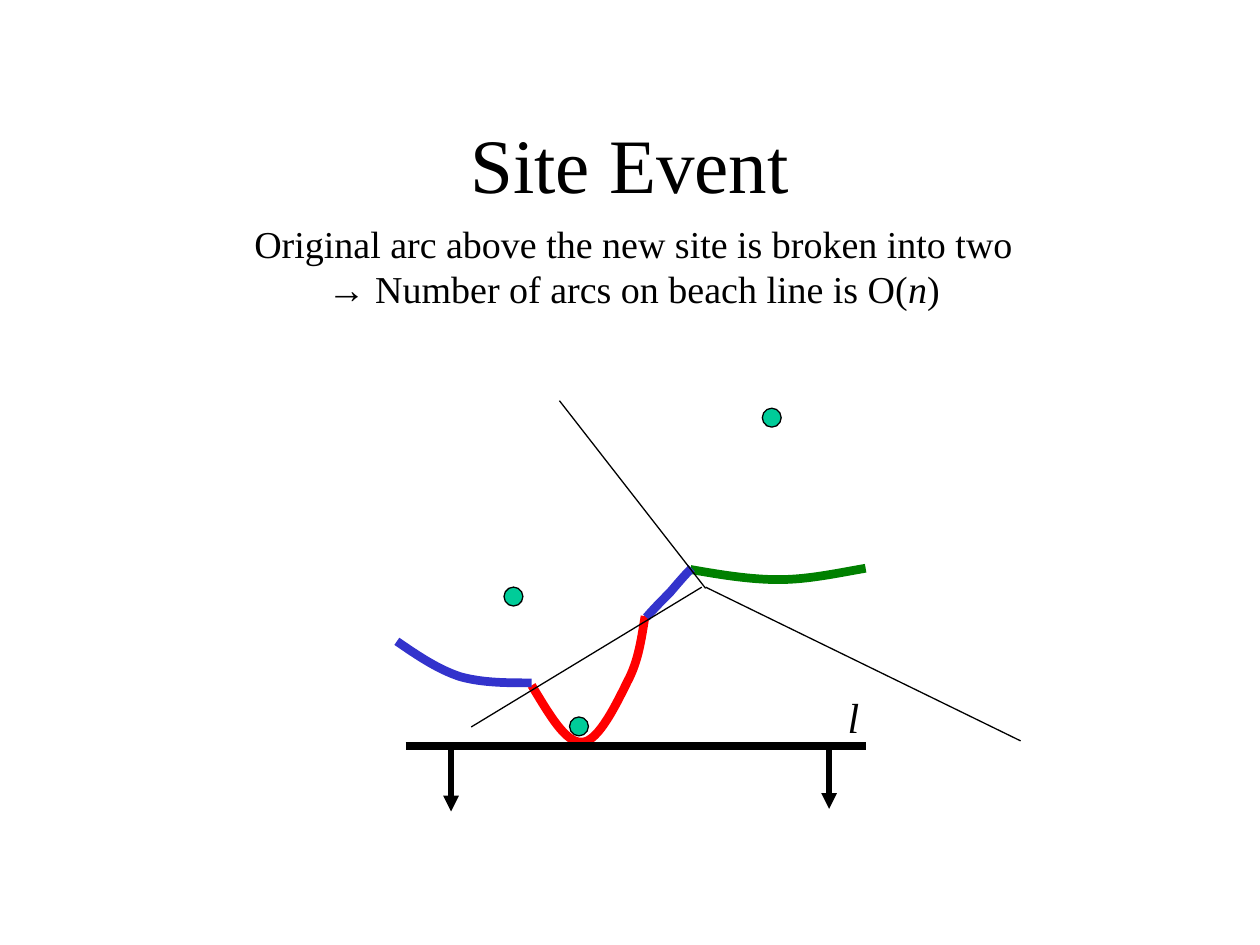
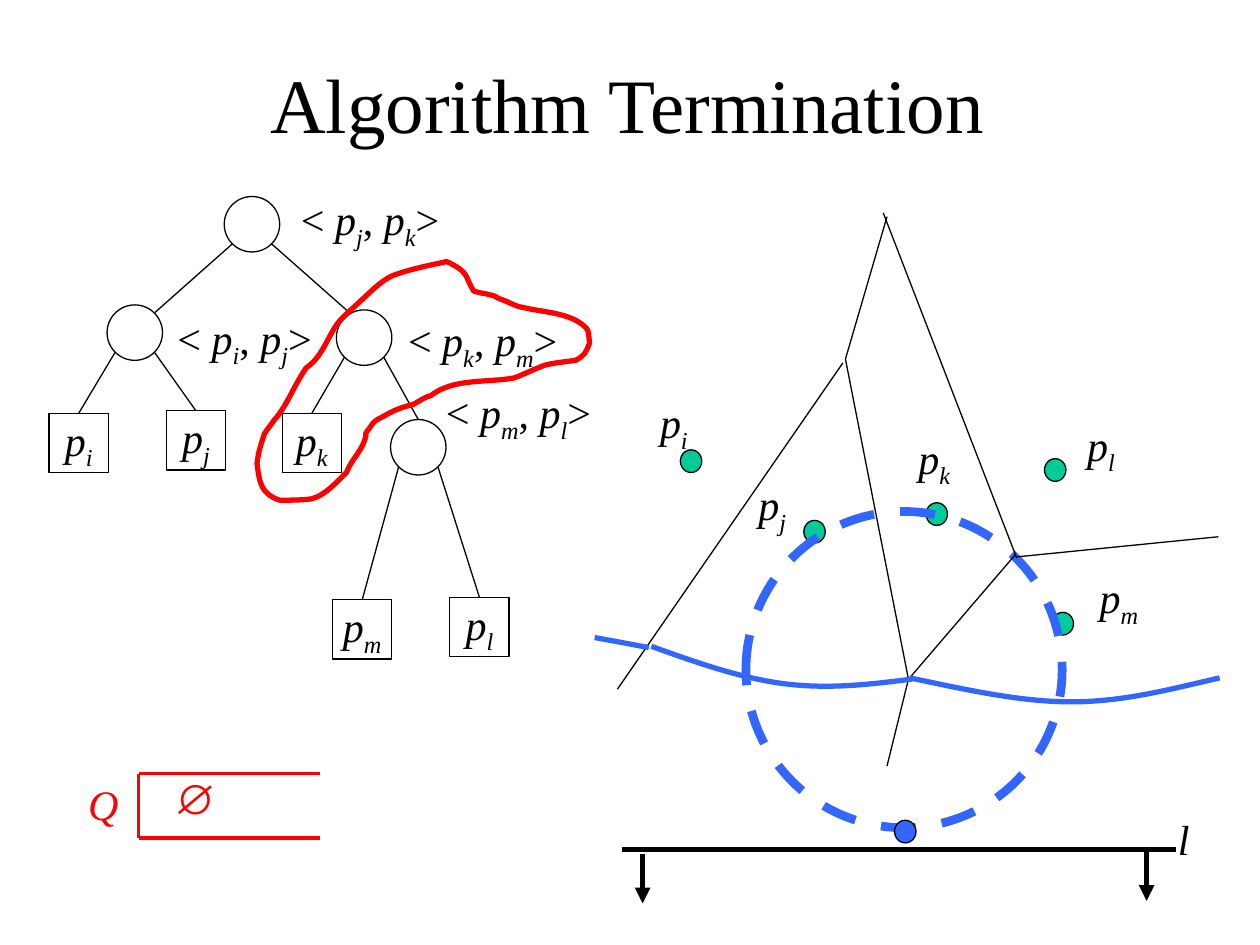
from lxml import etree
from pptx import Presentation
from pptx import util as u
from pptx.dml.color import RGBColor
from pptx.enum import dml, shapes, text
from pptx.oxml.ns import qn

HEX = {"ink": "000000", "site": "00CC99", "red": "FF0000", "green": "008000",
       "navy": "3333CC", "blue": "3366FF"}
FONT = "Times New Roman"
NODE = 0.44   # diameter of a tree node
LEAF = 0.47   # side of a leaf box
SLACK = 0.04  # spare width that keeps a label on one line


def rgb(name):
    return RGBColor.from_string(HEX[name])


def place(left, top, wide, high):
    return [u.Inches(v) for v in (left, top, wide, high)]


# ---- Text ----
def style(para, size=24, color="ink", font=FONT, italic=None):
    para.font.name, para.font.size = font, u.Pt(size)
    para.font.color.rgb = rgb(color)
    para.font.italic = italic


def add_runs(para, runs):
    """Each run is (words, marks): i is italic, s subscript, a Arial."""
    for words, marks in runs:
        run = para.add_run()
        run.text = words
        if "i" in marks:
            run.font.italic = True
        if "s" in marks:
            run._r.get_or_add_rPr().set("baseline", "-25000")
        if "a" in marks:
            run.font.name = "Arial"


def sub(index):
    return [("p", ""), (index, "s")]


def pair(left, right):
    return [("< ", ""), ("p", "i"), (left, "is"), (", ", ""),
            ("p", "i"), (right, "is"), (">", "")]


def add_title(slide, words, left, top):
    title = slide.shapes.title
    title.left, title.top, title.width, title.height = place(left, top, 8.5, 1.25)
    title.text_frame.text = words
    title.text_frame.vertical_anchor = text.MSO_ANCHOR.MIDDLE
    para = title.text_frame.paragraphs[0]
    para.alignment = text.PP_ALIGN.CENTER
    style(para, 44)


def add_label(slide, runs, left, top, wide, high=0.56, **look):
    box = slide.shapes.add_textbox(*place(left, top, wide + SLACK, high))
    frame = box.text_frame
    frame.word_wrap = False
    frame.auto_size = text.MSO_AUTO_SIZE.SHAPE_TO_FIT_TEXT
    para = frame.paragraphs[0]
    add_runs(para, runs)
    style(para, **look)


def add_body(slide, lines):
    frame = slide.shapes.add_textbox(*place(0.78, 1.8, 8.5, 0.74)).text_frame
    frame.word_wrap = True
    for i, runs in enumerate(lines):
        para = frame.add_paragraph() if i else frame.paragraphs[0]
        para.alignment = text.PP_ALIGN.CENTER
        para.line_spacing = 0.7
        if i:
            para.space_before = u.Pt(7.5)
        add_runs(para, runs)
        style(para, 21.7)


# ---- Shapes and lines ----
def paint(shape, fill=None, color="ink", weight=0.75):
    shape.shadow.inherit = False
    if fill:
        shape.fill.solid()
        shape.fill.fore_color.rgb = rgb(fill)
    else:
        shape.fill.background()
    shape.line.color.rgb = rgb(color)
    shape.line.width = u.Pt(weight)
    return shape


def add_oval(slide, left, top, wide, high, **look):
    oval = slide.shapes.add_shape(shapes.MSO_SHAPE.OVAL, *place(left, top, wide, high))
    return paint(oval, **look)


def add_leaf(slide, index, left, top):
    box = paint(slide.shapes.add_shape(
        shapes.MSO_SHAPE.RECTANGLE, *place(left, top, LEAF, LEAF)))
    frame = box.text_frame
    frame.word_wrap = False
    frame.vertical_anchor = text.MSO_ANCHOR.MIDDLE
    para = frame.paragraphs[0]
    para.alignment = text.PP_ALIGN.CENTER
    add_runs(para, sub(index))
    style(para, italic=True)
    return box


def add_line(slide, x1, y1, x2, y2, color="ink", weight=0.75, arrow=False):
    line = slide.shapes.add_connector(
        shapes.MSO_CONNECTOR.STRAIGHT, *place(x1, y1, x2, y2))
    line.line.color.rgb = rgb(color)
    line.line.width = u.Pt(weight)
    if arrow:
        etree.SubElement(line.line._get_or_add_ln(), qn("a:tailEnd"), type="triangle")
    etree.SubElement(line._element.spPr, qn("a:effectLst"))
    return line


def add_edge(slide, node, side, end):
    """Join a node's lower left (-1) or right (1) to a shape's top or a point."""
    reach = NODE / 2 * 0.71
    x = (node.left + node.width / 2) / u.Inches(1) + side * reach
    y = (node.top + node.height / 2) / u.Inches(1) + reach
    if isinstance(end, tuple):
        add_line(slide, x, y, *end)
    else:
        add_line(slide, x, y, x, y + 1).end_connect(end, 0)


def add_curve(slide, points, color, weight, close=False):
    """Draw cubic pieces: a start, then two handles and an end for each."""
    dots = [(u.Inches(x), u.Inches(y)) for x, y in points]
    build = slide.shapes.build_freeform(*dots[0])
    build.add_line_segments(dots[1:], close=close)
    form = paint(build.convert_to_shape(), color=color, weight=weight)
    # Turn each three straight segments into one cubic piece
    route = form._element.find(".//" + qn("a:path"))
    legs = route.findall(qn("a:lnTo"))
    for i in range(0, len(legs), 3):
        cubic = etree.Element(qn("a:cubicBezTo"))
        legs[i].addprevious(cubic)
        for leg in legs[i:i + 3]:
            cubic.append(leg[0])
            route.remove(leg)


def add_sweep(slide, left, right, y, weight, arrows, label):
    add_line(slide, left, y, right, y, weight=weight)
    for x, top, end in arrows:
        add_line(slide, x, top, x, end, weight=3, arrow=True)
    add_label(slide, [("l", "")], *label, 0.29, 0.5, italic=True)


# ---- Slides ----
def site_event(slide):
    add_title(slide, "Site Event", 0.75, 0.67)
    add_body(slide, [
        [("Original arc above the new site is broken into two", "")],
        [("→", "a"), (" Number of arcs on beach line is O(", ""), ("n", "i"), (")", "")]])

    # Beach line arcs and sites
    arcs = [
        ("red", [(4.22, 5.44), (4.36, 5.67), (4.49, 5.9), (4.62, 5.89), (4.75, 5.89),
                 (4.9, 5.57), (4.98, 5.41), (5.07, 5.24), (5.09, 5.07), (5.12, 4.89)]),
        ("green", [(5.48, 4.52), (5.71, 4.56), (5.95, 4.6), (6.18, 4.6),
                   (6.41, 4.6), (6.64, 4.55), (6.87, 4.51)]),
        ("navy", [(3.15, 5.09), (3.31, 5.2), (3.47, 5.31), (3.65, 5.37),
                  (3.83, 5.42), (4.02, 5.42), (4.22, 5.42)]),
        ("navy", [(5.13, 4.9), (5.19, 4.83), (5.26, 4.76), (5.32, 4.7),
                  (5.38, 4.63), (5.43, 4.57), (5.49, 4.51)])]
    for color, points in arcs:
        add_curve(slide, points, color, 5)
    for left, top in [(4, 4.66), (6.05, 3.24), (4.52, 5.69)]:
        add_oval(slide, left, top, 0.15, 0.15, fill="site")

    # Sweep line and Voronoi edges
    add_sweep(slide, 3.22, 6.87, 5.92, 5,
              [(3.58, 5.95, 6.44), (6.58, 5.94, 6.42)], (6.63, 5.44))
    for ends in [(4.44, 3.18, 5.6, 4.67), (3.74, 5.77, 5.57, 4.66),
                 (5.6, 4.66, 8.1, 5.88)]:
        add_line(slide, *ends)


def add_tree(slide):
    root, left, right, low = [
        add_oval(slide, x, y, NODE, NODE)
        for x, y in [(1.78, 1.56), (0.85, 2.42), (2.67, 2.46), (3.1, 3.33)]]
    leaf = {index: add_leaf(slide, index, x, y) for index, x, y in [
        ("i", 0.39, 3.28), ("j", 1.32, 3.26), ("k", 2.24, 3.28),
        ("m", 2.64, 4.76), ("l", 3.57, 4.74)]}
    for node, side, end in [
            (root, -1, (1.23, 2.48)), (root, 1, (2.76, 2.47)),
            (left, -1, leaf["i"]), (left, 1, leaf["j"]),
            (right, -1, leaf["k"]), (right, 1, low),
            (low, -1, leaf["m"]), (low, 1, leaf["l"])]:
        add_edge(slide, node, side, end)
    for first, last, x, y, wide in [
            ("j", "k", 2.29, 1.49, 1.3), ("i", "j", 1.31, 2.43, 1.26),
            ("k", "m", 3.14, 2.45, 1.38), ("m", "l", 3.44, 3.02, 1.35)]:
        add_label(slide, pair(first, last), x, y, wide)


def add_diagram(slide):
    # Sites and their names
    for left, top in [(8.35, 4.86), (7.35, 3.99), (8.29, 3.64), (6.38, 4.13), (5.4, 3.57)]:
        add_oval(slide, left, top, 0.17, 0.18, fill="site")
    for index, left, top, wide in [
            ("i", 5.14, 3.1, 0.42), ("j", 5.92, 3.75, 0.42), ("k", 7.19, 3.38, 0.45),
            ("l", 8.53, 3.28, 0.42), ("m", 8.63, 4.49, 0.5)]:
        add_label(slide, sub(index), left, top, wide, italic=True)

    # Sweep line and empty circle
    add_sweep(slide, 4.94, 9.33, 6.74, 3,
              [(5.1, 6.78, 7.17), (9.1, 6.76, 7.15)], (9.25, 6.41))
    ring = add_oval(slide, 5.92, 4.06, 2.51, 2.51, color="blue", weight=5)
    ring.line.dash_style = dml.MSO_LINE.DASH
    add_oval(slide, 7.1, 6.51, 0.17, 0.18, fill="blue")

    # Voronoi edges
    for ends in [(4.9, 5.47, 6.69, 2.88), (6.71, 2.85, 7.21, 5.39),
                 (8.06, 4.4, 7.22, 5.38), (8.07, 4.42, 9.67, 4.26),
                 (7.01, 1.69, 8.07, 4.43), (7.04, 1.72, 6.71, 2.85),
                 (7.21, 5.39, 7.04, 6.08)]:
        add_line(slide, *ends)

    # Beach line
    for points in [
            [(7.22, 5.38), (7.65, 5.47), (8.09, 5.57), (8.5, 5.57),
             (8.92, 5.57), (9.29, 5.47), (9.68, 5.38)],
            [(5.17, 5.13), (5.53, 5.26), (5.9, 5.39), (6.25, 5.43),
             (6.6, 5.47), (6.92, 5.43), (7.24, 5.39)],
            [(5.15, 5.14), (5.15, 5.14), (4.94, 5.1), (4.72, 5.06)]]:
        add_curve(slide, points, "blue", 3)


def add_queue(slide):
    left, right, top, base = 1.1, 2.54, 6.14, 6.65
    for ends in [(left, top, right, top), (left, base, right, base),
                 (left, top, left, base)]:
        add_line(slide, *ends, color="red", weight=2)
    add_label(slide, [("Q", "")], 0.6, 6.13, 0.44, 0.5, color="red", italic=True)
    add_label(slide, [("∅", "")], 1.29, 6.08, 0.46, 0.5, color="red", font="Arial")


def termination(slide):
    add_title(slide, "Algorithm Termination", 0.73, 0.19)
    add_tree(slide)
    add_diagram(slide)
    add_queue(slide)

    # Loop around the removed arc
    loop = [
        (3.53, 2.08), (3.39, 2.11), (3.24, 2.14), (3.11, 2.19),
        (3.01, 2.24), (2.94, 2.32), (2.86, 2.39), (2.8, 2.45), (2.72, 2.51), (2.67, 2.58),
        (2.59, 2.7), (2.55, 2.84), (2.43, 2.92), (2.36, 3.02), (2.31, 3.14), (2.24, 3.25),
        (2.22, 3.28), (2.2, 3.31), (2.18, 3.33), (2.15, 3.37), (2.1, 3.44), (2.1, 3.44),
        (2.07, 3.53), (2.05, 3.59), (2.04, 3.68), (2.06, 3.83), (2.07, 3.92), (2.22, 3.97),
        (2.31, 3.97), (2.39, 3.97), (2.47, 3.96), (2.57, 3.94), (2.68, 3.82), (2.75, 3.75),
        (2.78, 3.67), (2.84, 3.61), (2.88, 3.53), (2.95, 3.36), (2.84, 3.53), (2.96, 3.36),
        (2.98, 3.33), (3.04, 3.31), (3.07, 3.29), (3.14, 3.25), (3.2, 3.23), (3.28, 3.21),
        (3.32, 3.19), (3.37, 3.15), (3.42, 3.14), (3.6, 3), (3.86, 3.04), (4.08, 3),
        (4.16, 2.97), (4.24, 2.93), (4.32, 2.9), (4.39, 2.88), (4.5, 2.87), (4.57, 2.86),
        (4.64, 2.82), (4.65, 2.8), (4.68, 2.72), (4.67, 2.68), (4.68, 2.63), (4.65, 2.6),
        (4.53, 2.48), (4.31, 2.48), (4.15, 2.44), (4.08, 2.43), (4.03, 2.39), (3.96, 2.37),
        (3.89, 2.33), (3.95, 2.36), (3.85, 2.33), (3.82, 2.33), (3.76, 2.31), (3.76, 2.31),
        (3.7, 2.22), (3.72, 2.17), (3.61, 2.11), (3.59, 2.1), (3.53, 2.06), (3.53, 2.08)]
    add_curve(slide, loop, "red", 3, close=True)


def main():
    deck = Presentation()
    deck.slide_width, deck.slide_height = u.Inches(10), u.Inches(7.5)
    for build in (site_event, termination):
        build(deck.slides.add_slide(deck.slide_layouts[5]))
    deck.save("out.pptx")


if __name__ == "__main__":
    main()
